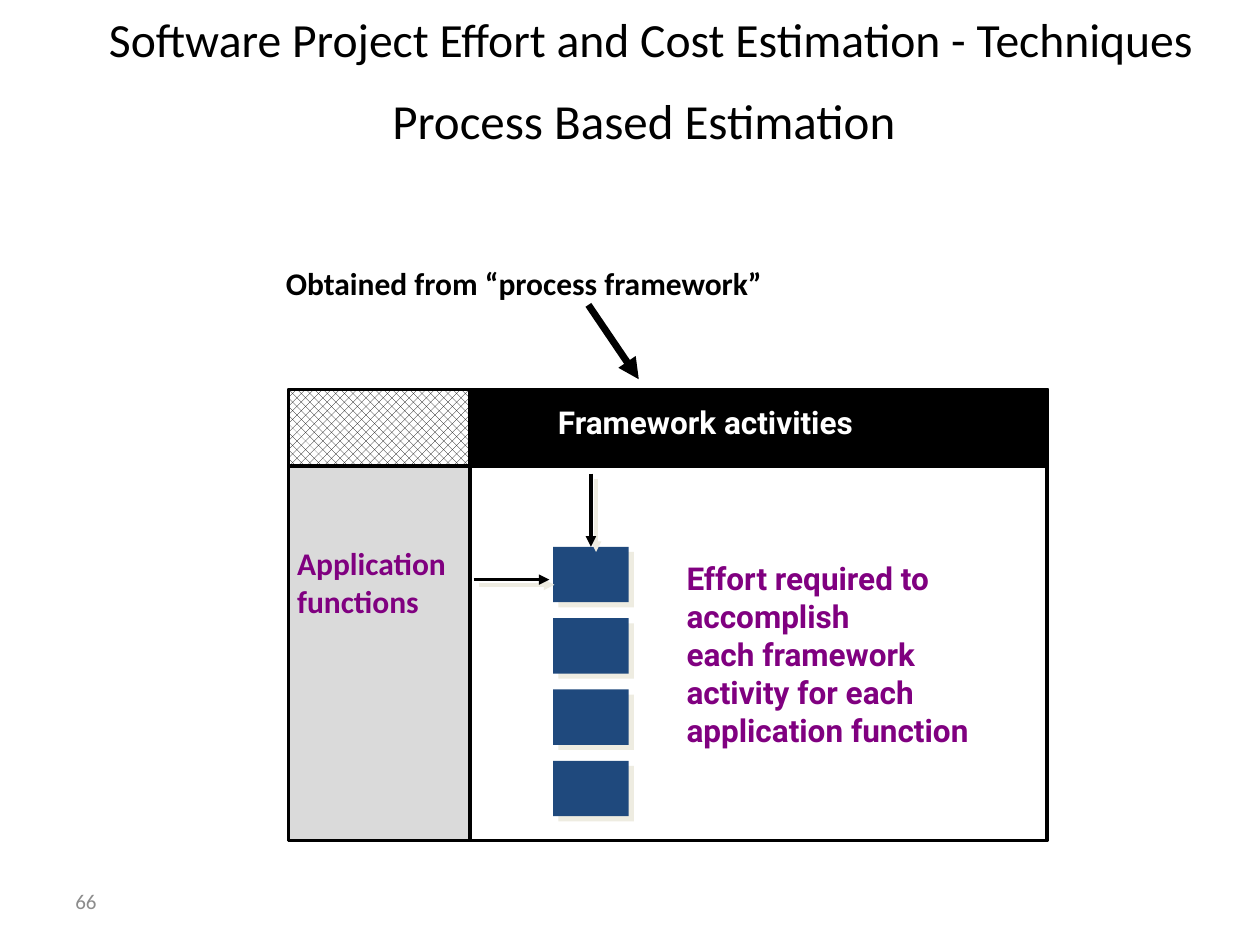
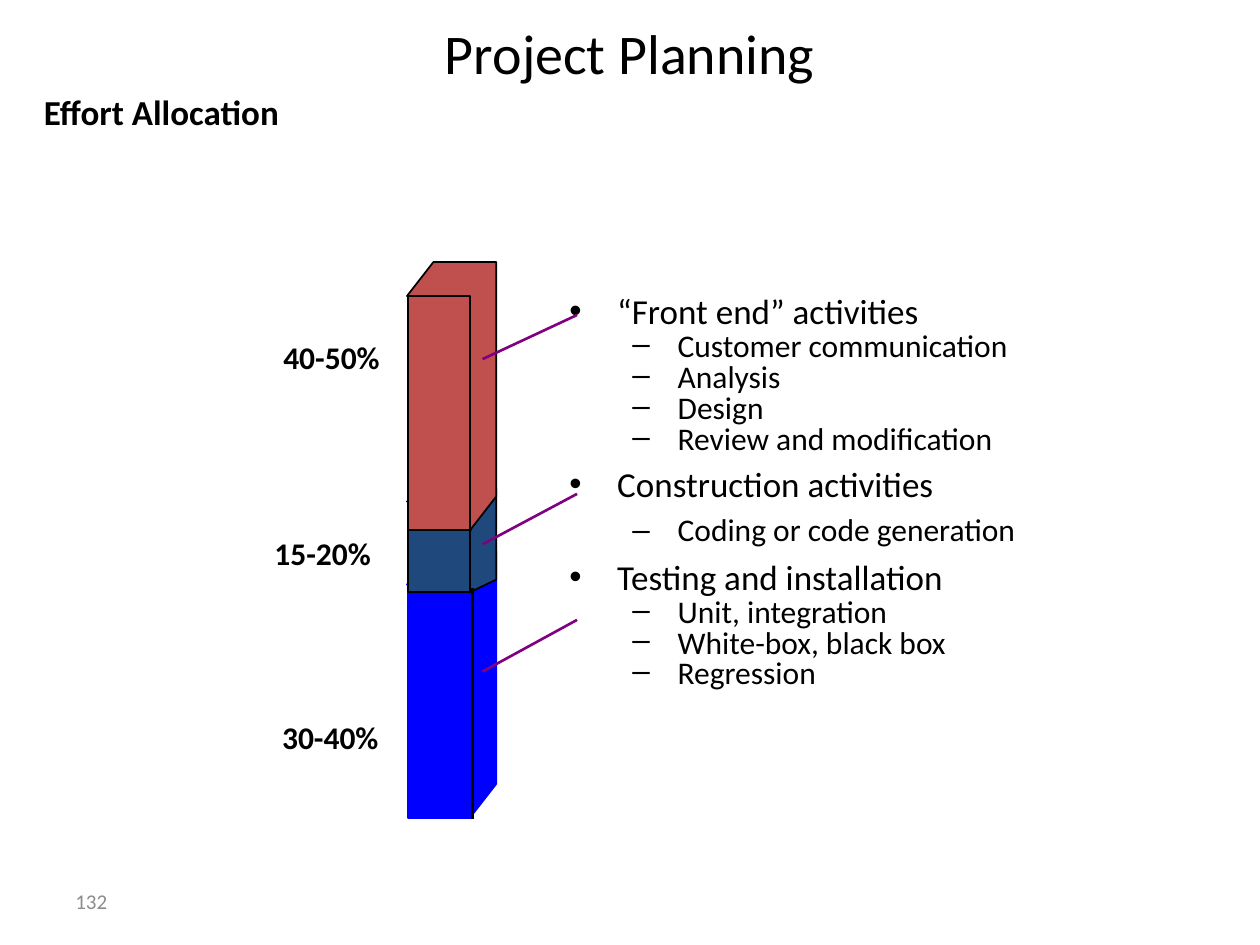
import dataclasses

import lxml.etree
import pptx
import pptx.dml.color
import pptx.enum.dml
import pptx.enum.shapes
import pptx.enum.text
import pptx.oxml.ns
import pptx.util


@dataclasses.dataclass(frozen=True)
class Theme:
    black: str = "000000"
    white: str = "FFFFFF"
    grey: str = "DADADA"
    number: str = "8C8C8C"
    purple: str = "800080"
    navy: str = "1F497D"
    blue: str = "0000FF"
    red: str = "C0504D"
    shade: str = "EEECE1"
    font: str = "Calibri"
    diagram_font: str = "Roboto"
    title: float = 32
    long_title: float = 27.2
    subtitle: float = 28
    heading: float = 20
    label: float = 18
    small: float = 12


theme = Theme()
RGB = pptx.dml.color.RGBColor.from_string
qn = pptx.oxml.ns.qn
RECT = pptx.enum.shapes.MSO_SHAPE.RECTANGLE
STRAIGHT = pptx.enum.shapes.MSO_CONNECTOR.STRAIGHT
CENTER = pptx.enum.text.PP_ALIGN.CENTER
TOP = pptx.enum.text.MSO_ANCHOR.TOP
MIDDLE = pptx.enum.text.MSO_ANCHOR.MIDDLE

deck = pptx.Presentation()
deck.slide_width = pptx.util.Inches(10)
deck.slide_height = pptx.util.Inches(7.5)
# The grid has 100 columns and 75 rows of square cells.
CELL = deck.slide_width // 100


def write(slide, box, text, size=theme.label, color=theme.black, font=theme.font,
          bold=False, align=None, anchor=TOP, spacing=None):
    """Place text, one paragraph per line, in a box given in grid cells."""
    frame = slide.shapes.add_textbox(*[round(v * CELL) for v in box]).text_frame
    frame.word_wrap = True
    frame.vertical_anchor = anchor
    frame.text = text
    for paragraph in frame.paragraphs:
        paragraph.alignment = align
        paragraph.line_spacing = spacing
        run_font = paragraph.runs[0].font
        run_font.name, run_font.bold = font, bold
        run_font.size = pptx.util.Pt(size)
        run_font.color.rgb = RGB(color)
    return frame


def style(shape, fill=None, line=None, weight=2, shadow=False, arrow=False):
    """Set fill, line, arrowhead and shadow of a shape or connector."""
    if fill:
        shape.fill.solid()
        shape.fill.fore_color.rgb = RGB(fill)
    elif hasattr(shape, "fill"):
        shape.fill.background()
    if line:
        shape.line.color.rgb = RGB(line)
        shape.line.width = pptx.util.Pt(weight)
    else:
        shape.line.fill.background()
    properties = shape._element.spPr
    if arrow:
        lxml.etree.SubElement(properties.get_or_add_ln(), qn("a:tailEnd"), type="triangle")
    effects = lxml.etree.SubElement(properties, qn("a:effectLst"))
    if shadow:
        outer = lxml.etree.SubElement(effects, qn("a:outerShdw"), dist="53340",
                                      dir="2700000", algn="ctr", rotWithShape="0")
        lxml.etree.SubElement(outer, qn("a:srgbClr"), val=theme.shade)


estimation, planning = [deck.slides.add_slide(deck.slide_layouts[6]) for _ in range(2)]
for slide, number in ((estimation, "66"), (planning, "132")):
    write(slide, (5, 69.5, 23.3, 4), number, size=theme.small, color=theme.number, anchor=MIDDLE)

# Process based estimation
write(estimation, (6.7, 0, 90, 6.7), "Software Project Effort and Cost Estimation - Techniques",
      size=theme.long_title, align=CENTER, anchor=MIDDLE, spacing=0.9)
write(estimation, (13.3, 6.7, 75.6, 5.6), "Process Based Estimation",
      size=theme.subtitle, align=CENTER, anchor=MIDDLE)
write(estimation, (21.7, 20.8, 59.6, 4.6), "Obtained from “process framework”",
      bold=True, spacing=0.9)

matrix_left, matrix_top, matrix_height = 22.9, 30.9, 35.8
side_width, main_width, header_height = 14.4, 45.8, 6.1
main_left = matrix_left + side_width
matrix_parts = [
    (matrix_left, side_width + main_width, matrix_height, None),
    (matrix_left, side_width, matrix_height, theme.grey),
    (main_left, main_width, header_height, theme.black),
    (matrix_left, side_width, header_height, theme.white),
]
for left, width, height, fill in matrix_parts:
    part = estimation.shapes.add_shape(
        RECT, *[round(v * CELL) for v in (left, matrix_top, width, height)])
    style(part, fill, theme.black)
corner = part
corner.fill.patterned()
corner.fill.pattern = pptx.enum.dml.MSO_PATTERN.PERCENT_50
corner.fill.fore_color.rgb = RGB(theme.black)
corner.fill.back_color.rgb = RGB(theme.white)

write(estimation, (22.6, 42.7, 15, 7), "Application\nfunctions", color=theme.purple, bold=True)
write(estimation, (43.3, 31.5, 27, 4), "Framework activities",
      color=theme.white, font=theme.diagram_font, bold=True)
write(estimation, (53.5, 43.9, 26.8, 16),
      "Effort required to accomplish\neach framework activity for each application function",
      color=theme.purple, font=theme.diagram_font, bold=True)

for row in range(4):
    effort = estimation.shapes.add_shape(
        RECT, *[round(v * CELL) for v in (43.9, 43.4 + 5.66 * row, 6, 4.4)])
    style(effort, theme.navy, shadow=True)

pointers = [
    ((46.7, 24.2, 50.7, 30.1), 4, False),
    ((46.9, 37.6, 46.9, 43.4), 2, True),
    ((37.6, 46, 43.6, 46), 2, True),
]
for ends, weight, shadow in pointers:
    pointer = estimation.shapes.add_connector(STRAIGHT, *[round(v * CELL) for v in ends])
    style(pointer, line=theme.black, weight=weight, shadow=shadow, arrow=True)

# Effort allocation
write(planning, (5, 0, 90, 8.3), "Project Planning", size=theme.title, align=CENTER, anchor=MIDDLE)
write(planning, (2.5, 6.7, 95, 6), "Effort Allocation", size=theme.heading, bold=True)

activities = [
    ("“Front end” activities", 0, None),
    ("Customer communication", 1, 0.65),
    ("Analysis", 1, 0.65),
    ("Design", 1, 0.65),
    ("Review and modification", 1, 0.65),
    ("Construction activities", 0, None),
    ("Coding or code generation", 1, None),
    ("Testing and installation", 0, None),
    ("Unit, integration", 1, 0.65),
    ("White-box, black box", 1, 0.65),
    ("Regression", 1, 0.65),
]
# Bullet, text indent and hanging indent in cells, type size
levels = [("•", 3.8, 3.8, theme.heading), ("–", 8.6, 3.6, theme.label)]
outline = write(planning, (44.2, 22.5, 38.9, 41.9), "\n".join(a[0] for a in activities))
for index, (paragraph, (_, level, spacing)) in enumerate(zip(outline.paragraphs, activities)):
    bullet, indent, hanging, size = levels[level]
    paragraph.level = level
    paragraph.line_spacing = spacing
    if index:
        paragraph.space_before = pptx.util.Pt(0.2 * size)
    paragraph.runs[0].font.size = pptx.util.Pt(size)
    properties = paragraph._p.get_or_add_pPr()
    properties.set("marL", str(round(indent * CELL)))
    properties.set("indent", str(round(-hanging * CELL)))
    lxml.etree.SubElement(properties, qn("a:buFont"), typeface="Arial")
    lxml.etree.SubElement(properties, qn("a:buChar"), char=bullet)

bar_left, bar_right, bar_back, back_shift = 32.3, 37.3, 39.4, 2.1
# Share, its label position, fill, line, front top, front height, skew, leader rows
phases = [
    ("30-40%", (21.4, 56.8), theme.blue, theme.blue, 46.4, 18.5, 2.7, (49.2, 53.3)),
    ("15-20%", (20.8, 42.2), theme.navy, theme.black, 39.8, 7.2, 1, (39.2, 43.2)),
    ("40-50%", (21.5, 26.7), theme.red, theme.black, 23.5, 18.6, 2.7, (25, 28.5)),
]
for share, label_at, fill, line, top, height, skew, leader_rows in phases:
    front = planning.shapes.add_shape(
        RECT, *[round(v * CELL) for v in (bar_left + 0.1, top, bar_right - bar_left, height)])
    style(front, fill, line, 1)
    bottom = top + height
    outline_points = [
        (bar_right, bottom), (bar_back, bottom - skew), (bar_back, top - skew),
        (bar_left + back_shift, top - skew), (bar_left, top), (bar_right, top),
    ]
    corners = [(round(x * CELL), round(y * CELL)) for x, y in outline_points]
    builder = planning.shapes.build_freeform(*corners[0])
    builder.add_line_segments(corners[1:], close=True)
    style(builder.convert_to_shape(), fill, line, 1)
    write(planning, (*label_at, 13.5, 4.6), share, bold=True, spacing=0.9)
    leader_ends = (45.8, leader_rows[0], 38.3, leader_rows[1])
    leader = planning.shapes.add_connector(STRAIGHT, *[round(v * CELL) for v in leader_ends])
    style(leader, line=theme.purple, weight=1.5)

edge = planning.shapes.add_connector(
    STRAIGHT, *[round(v * CELL) for v in (37.5, 46.7, 37.5, 65)])
style(edge, line=theme.black, weight=1.5)

deck.save("out.pptx")
